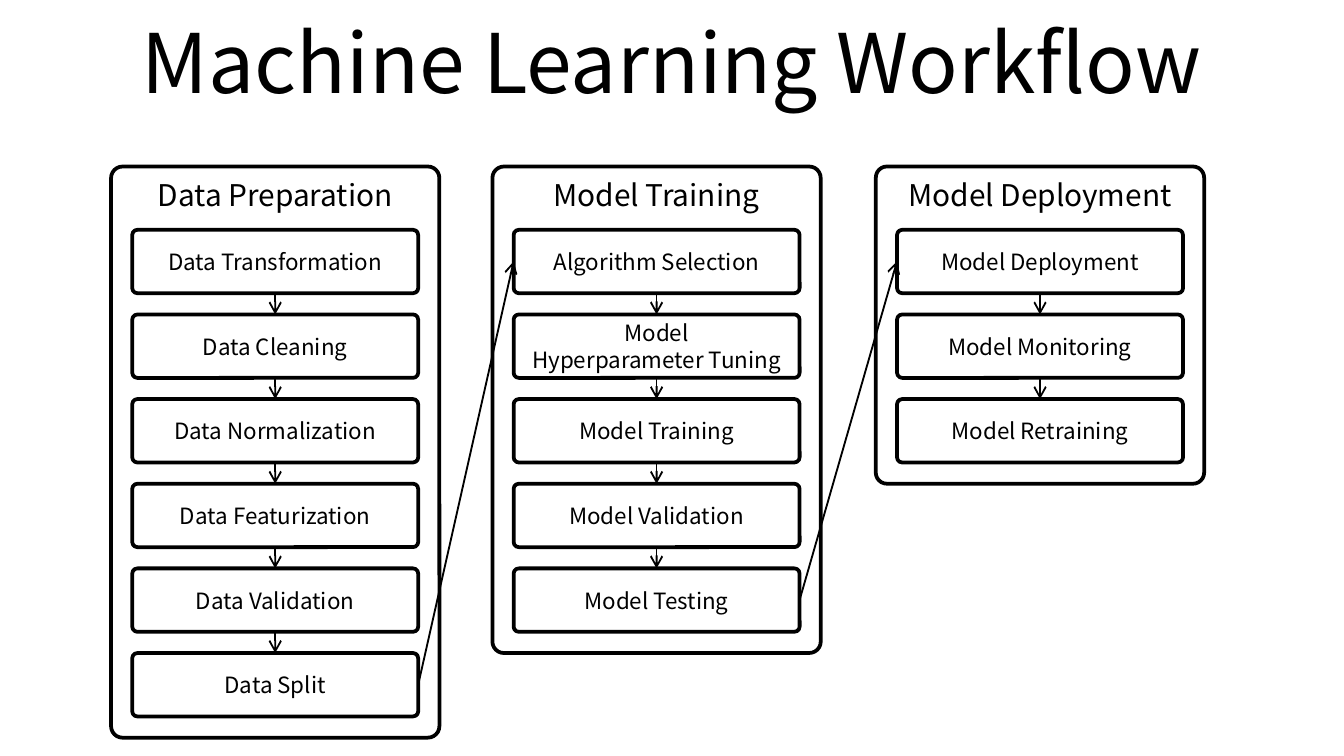
from dataclasses import dataclass

from lxml.etree import SubElement
from pptx import Presentation
from pptx.dml.color import RGBColor
from pptx.enum.shapes import MSO_CONNECTOR, MSO_SHAPE
from pptx.enum.text import MSO_ANCHOR, MSO_AUTO_SIZE, PP_ALIGN
from pptx.oxml.ns import qn
from pptx.shapes.autoshape import Shape
from pptx.slide import Slide
from pptx.text.text import TextFrame
from pptx.util import Pt

COLORS = {"ink": "000000", "paper": "FFFFFF"}
FONT = "Noto Sans CJK KR"

STAGE_TOP, STAGE_WIDTH = 89.2, 175.9
STEP_WIDTH, STEP_HEIGHT = 153.2, 34
STEP_GAP = 11.35
STEP_PITCH = STEP_HEIGHT + STEP_GAP
HEADING_HEIGHT = 33.9
TOP, LEFT, BOTTOM, RIGHT = range(4)  # connection sites of a rounded rectangle


@dataclass(frozen=True)
class Stage:
    heading: str
    left: float
    steps: tuple[str, ...]


STAGES = (
    Stage("Data Preparation", 59.5, (
        "Data Transformation", "Data Cleaning", "Data Normalization",
        "Data Featurization", "Data Validation", "Data Split")),
    Stage("Model Training", 263.8, (
        "Algorithm Selection", "Model\nHyperparameter Tuning",
        "Model Training", "Model Validation", "Model Testing")),
    Stage("Model Deployment", 469.2, (
        "Model Deployment", "Model Monitoring", "Model Retraining")),
)


def rgb(name: str) -> RGBColor:
    return RGBColor.from_string(COLORS[name])


def write(frame: TextFrame, text: str, *, size: float,
          anchor: MSO_ANCHOR = MSO_ANCHOR.MIDDLE) -> None:
    frame.word_wrap = True
    frame.auto_size = MSO_AUTO_SIZE.NONE
    frame.vertical_anchor = anchor
    frame.text = text
    for paragraph in frame.paragraphs:
        paragraph.alignment = PP_ALIGN.CENTER
        paragraph.font.name = FONT
        paragraph.font.size = Pt(size)
        paragraph.font.color.rgb = rgb("ink")


def add_rounded_box(slide: Slide, left: float, top: float, width: float,
                    height: float, rounding: float) -> Shape:
    box = slide.shapes.add_shape(MSO_SHAPE.ROUNDED_RECTANGLE, Pt(left), Pt(top),
                                 Pt(width), Pt(height))
    box.adjustments[0] = rounding
    box.shadow.inherit = False
    box.fill.solid()
    box.fill.fore_color.rgb = rgb("paper")
    box.line.color.rgb = rgb("ink")
    box.line.width = Pt(2)
    return box


def add_stage(slide: Slide, stage: Stage) -> list[Shape]:
    """Draw the stage's panel and steps, and return the step boxes."""
    panel = add_rounded_box(slide, stage.left, STAGE_TOP, STAGE_WIDTH,
                            HEADING_HEIGHT + len(stage.steps) * STEP_PITCH, 0.035)
    write(panel.text_frame, stage.heading, size=16, anchor=MSO_ANCHOR.TOP)
    step_left = stage.left + (STAGE_WIDTH - STEP_WIDTH) / 2
    boxes = []
    for row, step in enumerate(stage.steps):
        top = STAGE_TOP + HEADING_HEIGHT + row * STEP_PITCH
        box = add_rounded_box(slide, step_left, top, STEP_WIDTH, STEP_HEIGHT, 0.082)
        write(box.text_frame, step, size=12)
        boxes.append(box)
    return boxes


def add_arrow(slide: Slide, source: Shape, source_site: int,
              target: Shape, target_site: int) -> None:
    arrow = slide.shapes.add_connector(MSO_CONNECTOR.STRAIGHT, 0, 0, 0, 0)
    arrow.begin_connect(source, source_site)
    arrow.end_connect(target, target_site)
    arrow.line.color.rgb = rgb("ink")
    arrow.line.width = Pt(1)
    SubElement(arrow.line._get_or_add_ln(), qn("a:tailEnd"), type="arrow")
    SubElement(arrow._element.spPr, qn("a:effectLst"))


def main() -> None:
    presentation = Presentation()
    presentation.slide_width, presentation.slide_height = Pt(720), Pt(405)
    slide = presentation.slides.add_slide(presentation.slide_layouts[5])

    title = slide.shapes.title
    title.left, title.top, title.width, title.height = Pt(36), Pt(-1.4), Pt(648), Pt(67.5)
    write(title.text_frame, "Machine Learning Workflow", size=44)

    workflow = [add_stage(slide, stage) for stage in STAGES]
    for steps in workflow:
        for step, following in zip(steps, steps[1:]):
            add_arrow(slide, step, BOTTOM, following, TOP)
    for steps, next_steps in zip(workflow, workflow[1:]):
        add_arrow(slide, steps[-1], RIGHT, next_steps[0], LEFT)

    presentation.save("out.pptx")


if __name__ == "__main__":
    main()
